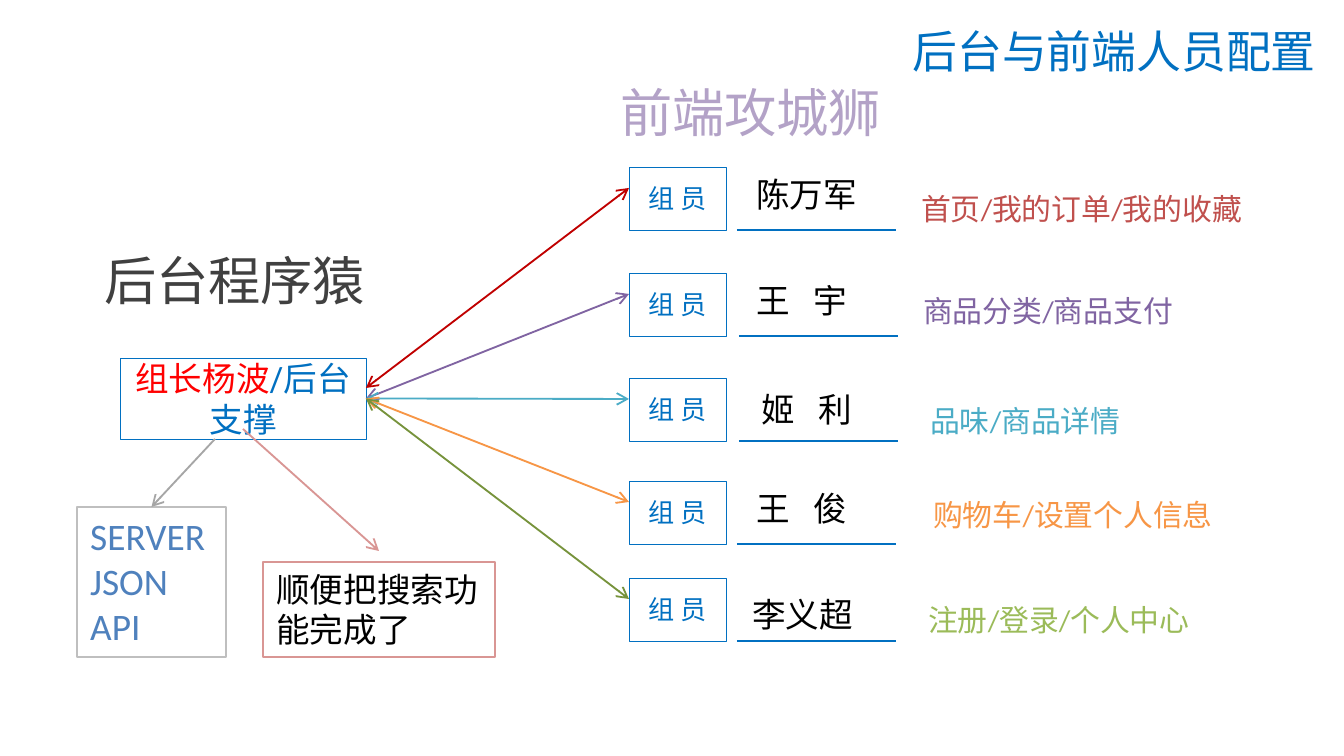
from pptx import Presentation
from pptx.dml.color import RGBColor
from pptx.enum.shapes import MSO_CONNECTOR, MSO_SHAPE
from pptx.enum.text import MSO_ANCHOR, MSO_AUTO_SIZE, PP_ALIGN
from pptx.oxml.ns import qn
from pptx.util import Pt
from lxml.etree import SubElement

# Content
TITLE = "后台与前端人员配置"
HEADS = [("前端攻城狮", (607, 74, 375, 77), "lilac"),
         ("后台程序猿", (91, 242, 298, 77), "dark")]
LEAD = [[("组长杨波", "red"), ("/后台支撑", "blue")]]
STACK = [[(word, "sky")] for word in ("SERVER", "JSON", "API")]
EXTRA = [[("顺便把搜索功能完成了", "black")]]
ROLE = [[("组 员", "blue")]]

# Per member: box top, name, name at, rule left, task, task box, task colour,
# arrow colour, arrow start
MEMBERS = [
    (167, "陈万军", (743, 167), 737, "首页/我的订单/我的收藏", (908, 184, 356), "brick", "crimson", 388),
    (273, "王\t宇", (743, 273), 739, "商品分类/商品支付", (910, 286, 335), "purple", "purple", None),
    (378, "姬\t利", (748, 382), 739, "品味/商品详情", (917, 396, 337), "teal", "teal", None),
    (481, "王\t俊", (743, 481), 737, "购物车/设置个人信息", (920, 490, 387), "orange", "orange", None),
    (578, "李义超", (739, 587), 737, "注册/登录/个人中心", (915, 595, 308), "green", "olive", None),
]

THEME = {
    "color": {"blue": "0170C1", "red": "FF0000", "lilac": "B3A2C7", "dark": "404040",
              "sky": "4F81BD", "black": "000000", "brick": "C0504D", "crimson": "C00000",
              "purple": "8064A2", "teal": "4BACC6", "orange": "F79646", "green": "9BBB59",
              "olive": "77933C", "pink": "D99694", "gray": "A6A6A6", "pale": "BFBFBF"},
    "size": {"title": 24, "head": 28, "stack": 20, "name": 18, "task": 16, "role": 14},
    "body": "Calibri", "box": "Roboto", "cjk": "Noto Sans CJK SC",
}

SCALE = 914400 / 134.4
BOX_X, BOX_W, BOX_H = 629, 97, 63
RULE_W, JOIN, TAB = 159, 21, 57


def px(n):
    return round(n * SCALE)


def tint(name):
    return RGBColor.from_string(THEME["color"][name])


def write(shape, paras, size, face=THEME["body"], align=PP_ALIGN.LEFT, anchor=MSO_ANCHOR.TOP):
    frame = shape.text_frame
    frame.word_wrap = True
    frame.auto_size = MSO_AUTO_SIZE.NONE
    frame.vertical_anchor = anchor
    for i, runs in enumerate(paras):
        para = frame.add_paragraph() if i else frame.paragraphs[0]
        para.alignment = align
        if any("\t" in text for text, _ in runs):
            tabs = SubElement(para._p.get_or_add_pPr(), qn("a:tabLst"))
            SubElement(tabs, qn("a:tab"), pos=str(px(TAB)), algn="l")
        for text, color in runs:
            run = para.add_run()
            run.text = text
            run.font.size = Pt(THEME["size"][size])
            run.font.color.rgb = tint(color)
            run.font.name = face
            SubElement(run._r.get_or_add_rPr(), qn("a:ea"), typeface=THEME["cjk"])


def label(text, color, size, area):
    box = slide.shapes.add_textbox(*map(px, area))
    write(box, [[(text, color)]], size)


def frame_box(area, color, width, paras, size, **style):
    box = slide.shapes.add_shape(MSO_SHAPE.RECTANGLE, *map(px, area))
    box.shadow.inherit = False
    box.fill.background()
    box.line.color.rgb = tint(color)
    box.line.width = Pt(width)
    write(box, paras, size, **style)
    return box


def link(start, end, color, heads=()):
    line = slide.shapes.add_connector(MSO_CONNECTOR.STRAIGHT, *map(px, start + end))
    line.line.color.rgb = tint(color)
    line.line.width = Pt(1)
    SubElement(line._element.spPr, qn("a:effectLst"))
    for head in heads:
        SubElement(line.line._ln, qn("a:" + head), type="arrow")
    return line


deck = Presentation()
deck.slide_width, deck.slide_height = px(1344), px(756)
slide = deck.slides.add_slide(deck.slide_layouts[5])

# Title and group headings
title = slide.shapes.title
title.left, title.top, title.width, title.height = map(px, (899, 17, 440, 67))
write(title, [[(TITLE, "blue")]], "title", face=THEME["cjk"])
for text, area, color in HEADS:
    label(text, color, "head", area)

# Back-end lead and the work below
mid = {"face": THEME["box"], "align": PP_ALIGN.CENTER, "anchor": MSO_ANCHOR.MIDDLE}
lead = frame_box((120, 358, 246, 81), "blue", 0.25, LEAD, "name", **mid)
stack = frame_box((77, 507, 149, 150), "pale", 0.75, STACK, "stack")
frame_box((263, 562, 232, 95), "pink", 0.75, EXTRA, "name")
link((215, 439), (152, 507), "gray", ["tailEnd"]).end_connect(stack, 0)
link((243, 429), (379, 551), "pink", ["tailEnd"])

# Front-end members, each linked to the lead
for top, name, spot, rule, task, area, color, arrow, start in MEMBERS:
    frame_box((BOX_X, top, BOX_W, BOX_H), "blue", 0.25, ROLE, "role", **mid)
    link((rule, top + BOX_H), (rule + RULE_W, top + BOX_H), "blue")
    label(name, "black", "name", spot + (144, 54))
    label(task, color, "task", area + (50,))
    line = link((366, start or 399), (BOX_X, top + JOIN), arrow, ["headEnd", "tailEnd"])
    if start is None:
        line.begin_connect(lead, 3)

deck.save("out.pptx")
